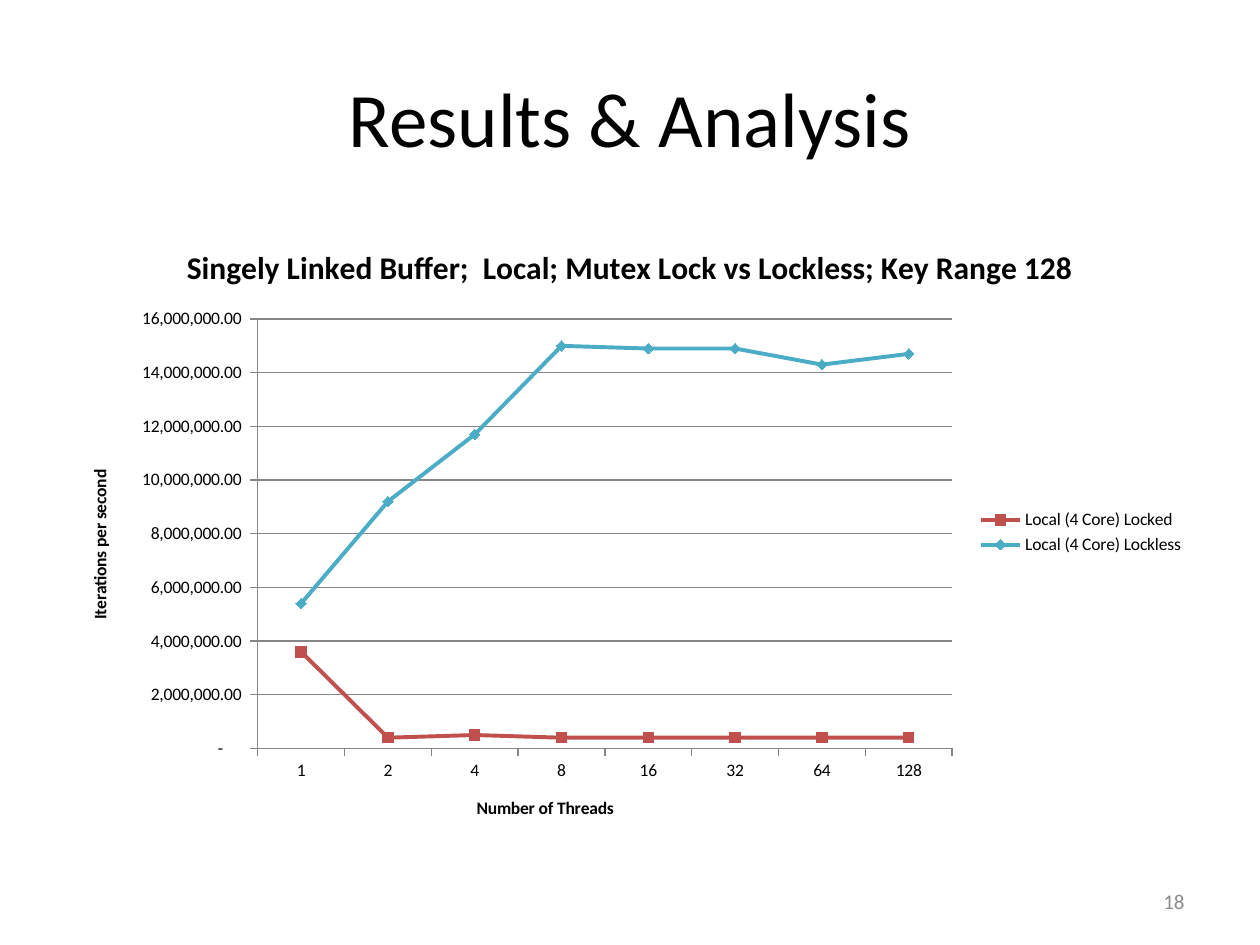
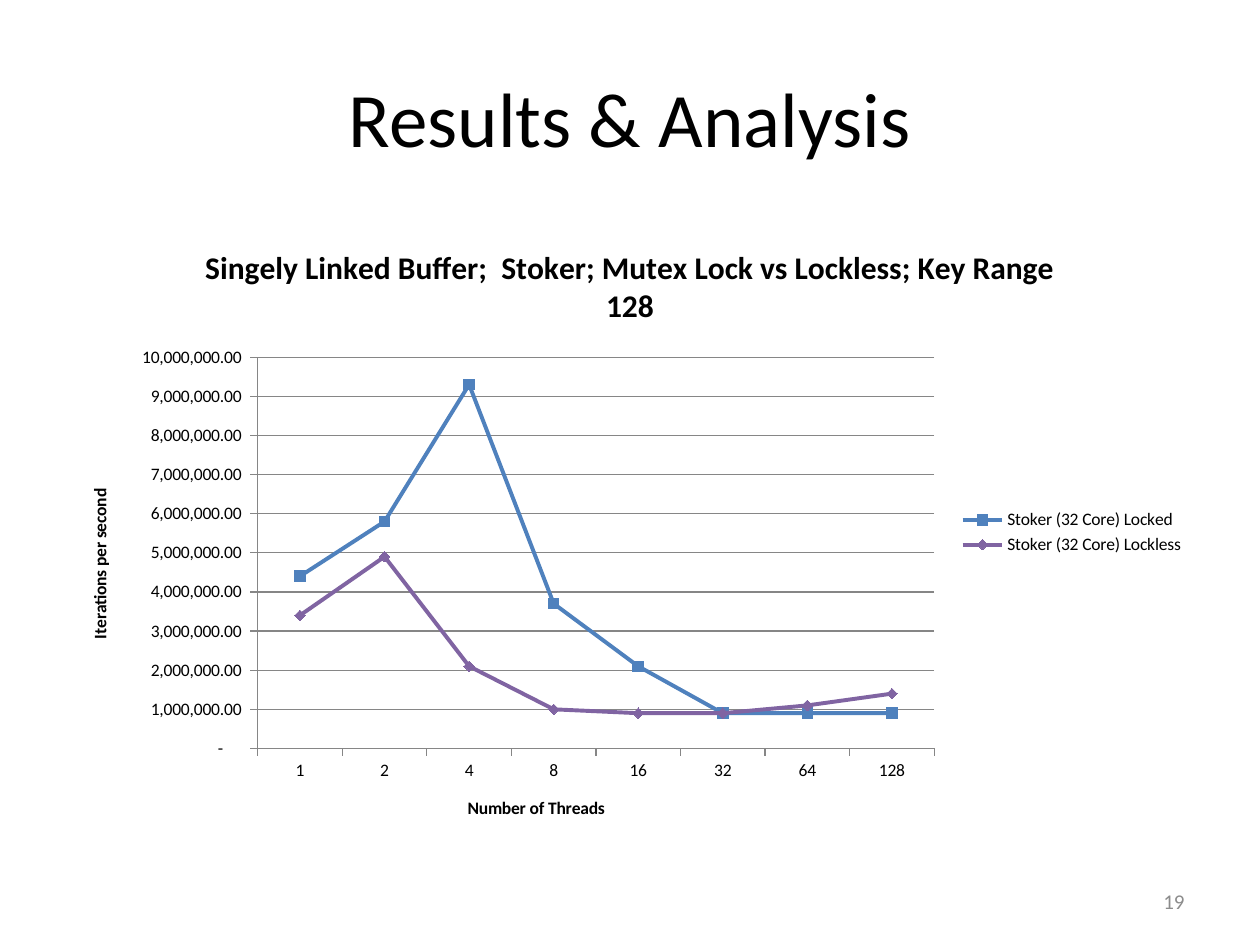
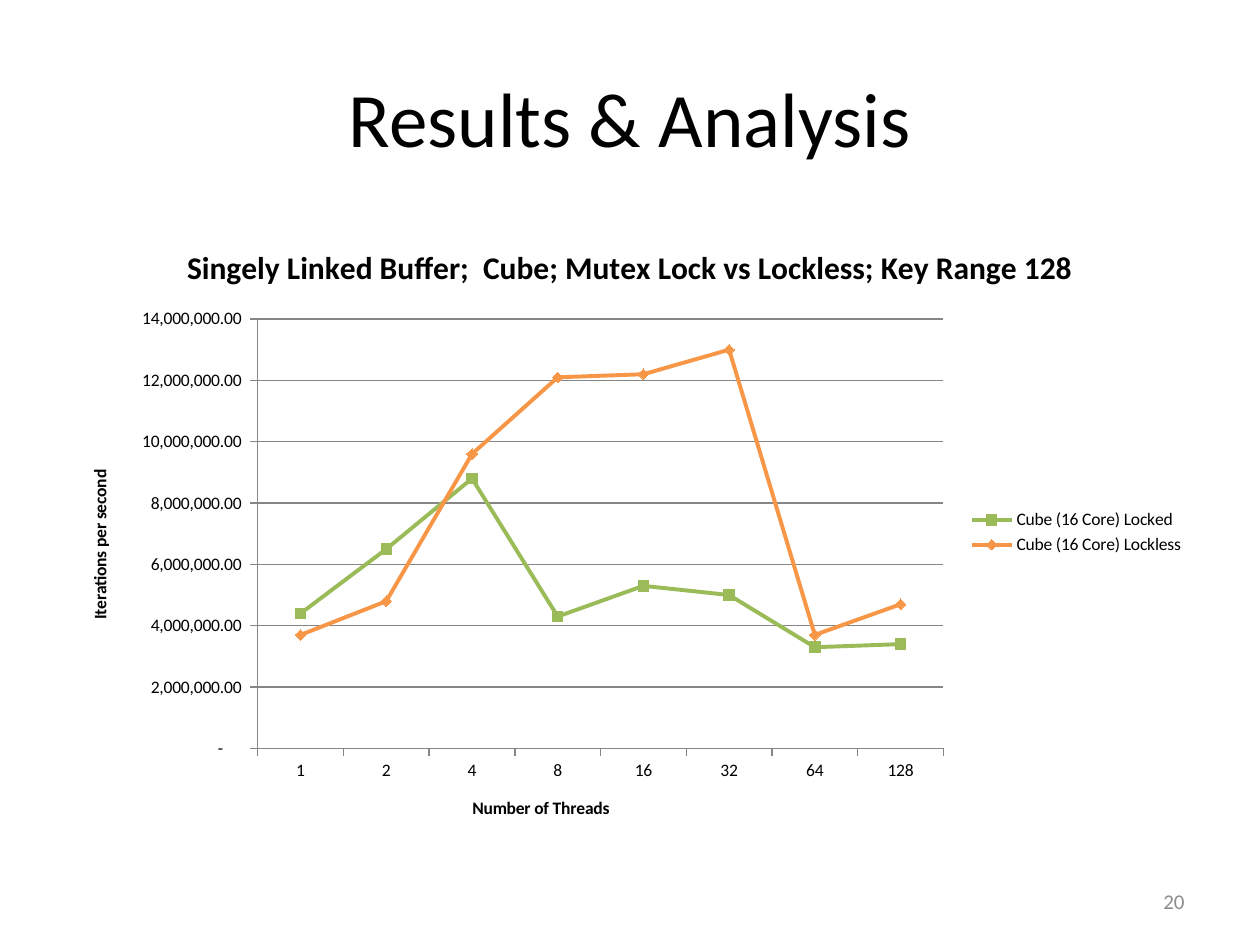
from pptx import Presentation
from pptx.chart.data import CategoryChartData
from pptx.dml.color import RGBColor
from pptx.enum.chart import XL_CHART_TYPE, XL_LEGEND_POSITION, XL_MARKER_STYLE, XL_TICK_MARK
from pptx.enum.text import MSO_ANCHOR, PP_ALIGN
from pptx.util import Pt

LINE_MARKERS = XL_CHART_TYPE.LINE_MARKERS
LEGEND_RIGHT = XL_LEGEND_POSITION.RIGHT
TICK_OUTSIDE, TICK_NONE = XL_TICK_MARK.OUTSIDE, XL_TICK_MARK.NONE
MARKERS = (XL_MARKER_STYLE.SQUARE, XL_MARKER_STYLE.DIAMOND)
MIDDLE = MSO_ANCHOR.MIDDLE
CENTER, RIGHT = PP_ALIGN.CENTER, PP_ALIGN.RIGHT

# Content: iterations are in units of 100,000 per second
TITLE = "Results & Analysis"
CATEGORY_TITLE = "Number of Threads"
VALUE_TITLE = "Iterations per second"
THREADS = ["1", "2", "4", "8", "16", "32", "64", "128"]
UNIT = 100_000
FIRST_NUMBER = 18
MACHINES = [
    {"name": "Local", "cores": 4, "series": [
        ("Locked", "red", [36, 4, 5, 4, 4, 4, 4, 4]),
        ("Lockless", "aqua", [54, 92, 117, 150, 149, 149, 143, 147])]},
    {"name": "Stoker", "cores": 32, "series": [
        ("Locked", "blue", [44, 58, 93, 37, 21, 9, 9, 9]),
        ("Lockless", "purple", [34, 49, 21, 10, 9, 9, 11, 14])]},
    {"name": "Cube", "cores": 16, "series": [
        ("Locked", "green", [44, 65, 88, 43, 53, 50, 33, 34]),
        ("Lockless", "orange", [37, 48, 96, 121, 122, 130, 37, 47])]},
]

# Shared style, lengths in points
FONT = "Calibri"
COLORS = {
    "text": "000000", "number": "8C8C8C", "grid": "868686",
    "red": "C0504D", "aqua": "4BACC6", "blue": "4F81BD",
    "purple": "8064A2", "green": "9BBB59", "orange": "F79646",
}
NUMBER_FORMAT = '_(* #,##0.00_);_(* \\(#,##0.00\\);_(* "-"??_);_(@_)'
SLIDE_SIZE = (720, 540)
TITLE_BOX = (36, 21.6, 648, 90)
CHART_BOX = (36, 126, 648, 356.4)
NUMBER_BOX = (516, 500.5, 168, 28.75)


def color(name):
    return RGBColor.from_string(COLORS[name])


def points(box):
    return [Pt(length) for length in box]


def style_font(font, size, color_name="text", bold=False):
    font.name, font.size, font.bold = FONT, Pt(size), bold
    font.color.rgb = color(color_name)


def style_line(line, color_name, width):
    line.color.rgb = color(color_name)
    line.width = Pt(width)


def write(text_frame, text, size, alignment=None, color_name="text", bold=False):
    paragraph = text_frame.paragraphs[0]
    paragraph.alignment = alignment
    run = paragraph.add_run()
    run.text = text
    style_font(run.font, size, color_name, bold)


def add_title(slide):
    title = slide.shapes.title
    title.left, title.top, title.width, title.height = points(TITLE_BOX)
    title.text_frame.vertical_anchor = MIDDLE
    write(title.text_frame, TITLE, 44, CENTER)


def add_number(slide, number):
    text_frame = slide.shapes.add_textbox(*points(NUMBER_BOX)).text_frame
    text_frame.word_wrap = True
    text_frame.vertical_anchor = MIDDLE
    write(text_frame, str(number), 12, RIGHT, "number")


def style_axis(axis, title):
    axis.major_tick_mark, axis.minor_tick_mark = TICK_OUTSIDE, TICK_NONE
    style_line(axis.format.line, "grid", 0.75)
    style_font(axis.tick_labels.font, 10)
    write(axis.axis_title.text_frame, title, 10, bold=True)


def add_chart(slide, machine):
    name = machine["name"]
    data = CategoryChartData(number_format=NUMBER_FORMAT)
    data.categories = THREADS
    for mode, _, values in machine["series"]:
        data.add_series(f"{name} ({machine['cores']} Core) {mode}",
                        [value * UNIT for value in values])
    chart = slide.shapes.add_chart(LINE_MARKERS, *points(CHART_BOX), data).chart
    style_font(chart.font, 10)

    # Title and legend
    chart.has_title = True
    write(chart.chart_title.text_frame,
          f"Singely Linked Buffer;  {name}; Mutex Lock vs Lockless; Key Range 128",
          18, bold=True)
    chart.chart_title.include_in_layout = False
    chart.has_legend = True
    chart.legend.position = LEGEND_RIGHT
    chart.legend.include_in_layout = False
    style_font(chart.legend.font, 10)

    # Axes
    style_axis(chart.category_axis, CATEGORY_TITLE)
    value_axis = chart.value_axis
    style_axis(value_axis, VALUE_TITLE)
    value_axis.has_major_gridlines = True
    style_line(value_axis.major_gridlines.format.line, "grid", 0.75)
    value_axis.tick_labels.number_format = NUMBER_FORMAT
    value_axis.tick_labels.number_format_is_linked = False

    # Lines and markers
    plot = chart.plots[0]
    plot.vary_by_categories = False
    for series, (_, color_name, _), marker_style in zip(plot.series, machine["series"], MARKERS):
        series.smooth = False
        style_line(series.format.line, color_name, 2.25)
        marker = series.marker
        marker.style, marker.size = marker_style, 6
        marker.format.fill.solid()
        marker.format.fill.fore_color.rgb = color(color_name)
        style_line(marker.format.line, color_name, 0.75)


def main():
    presentation = Presentation()
    presentation.slide_width, presentation.slide_height = points(SLIDE_SIZE)
    title_only = presentation.slide_layouts[5]
    for number, machine in enumerate(MACHINES, FIRST_NUMBER):
        slide = presentation.slides.add_slide(title_only)
        add_title(slide)
        add_number(slide, number)
        add_chart(slide, machine)
    presentation.save("out.pptx")


if __name__ == "__main__":
    main()
